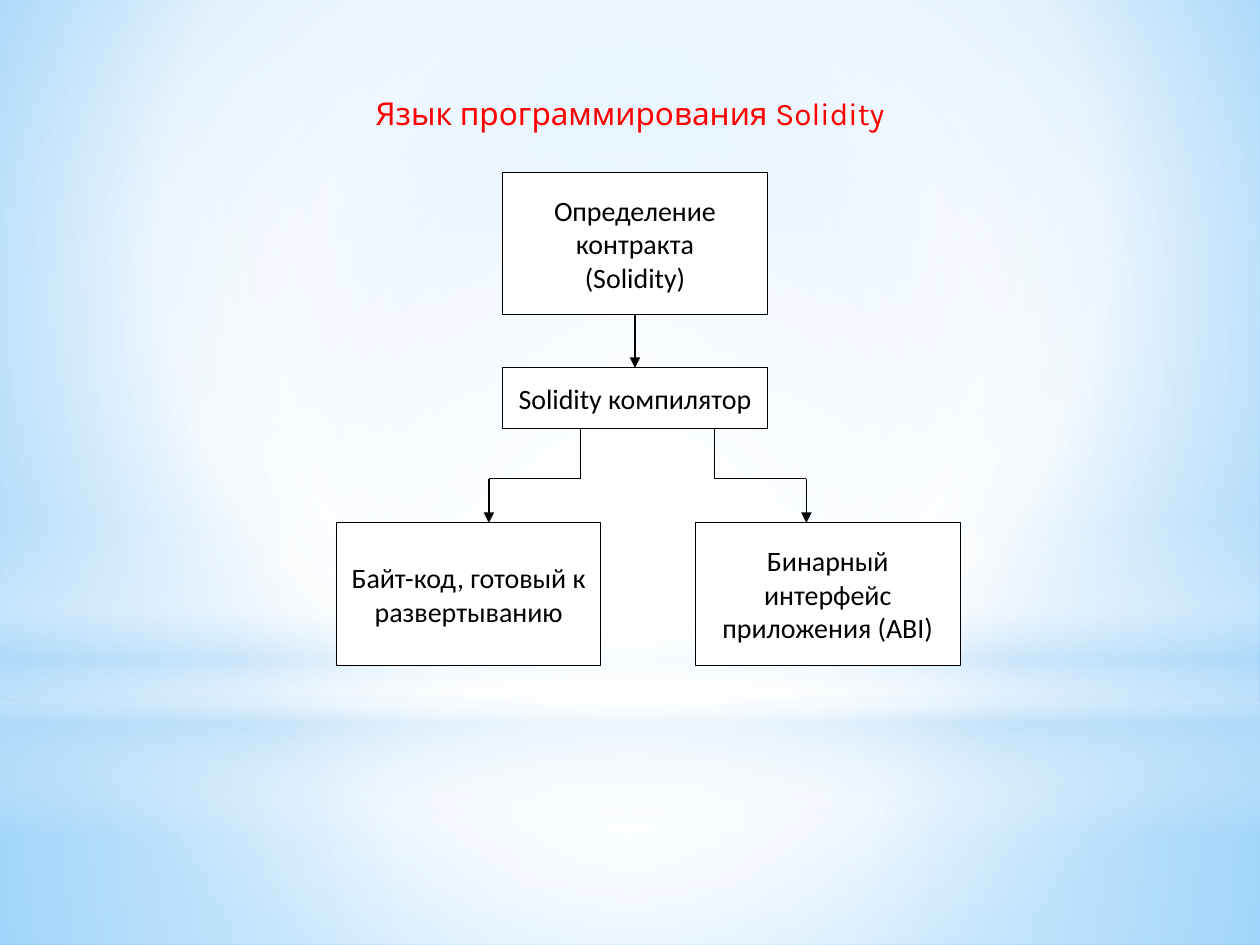
from lxml import etree
from pptx import Presentation
from pptx import util as u
from pptx.dml.color import RGBColor
from pptx.enum import shapes, text
from pptx.oxml.ns import qn

WIDTH, HEIGHT = 10, 7.5
BOX_W, TALL, LOW = 2.1, 1.13, 0.48
CENTRE_X = 5.04
SOURCE_Y, COMPILER_Y, RESULT_Y = 1.37, 2.92, 4.15
FORK_X, FORK_Y = 5.14, 3.8
STEM, REACH = 0.53, 1.26
CENTRED = (50, 50, 50, 50)


def hex_color(value):
    return RGBColor.from_string(value)


def add_node(parent, tag, **attributes):
    node = etree.SubElement(parent, qn(tag))
    for key, value in attributes.items():
        node.set(key, str(value))
    return node


def set_gradient(fill, owner, stops, focus=None, angle=90):
    """Stops are (position %, colour, opacity %); a focus makes it circular."""
    fill.gradient()
    gradient = next(owner.iter(qn("a:gradFill")))
    gradient.clear()
    gradient.set("rotWithShape", "1")
    stop_list = add_node(gradient, "a:gsLst")
    for position, color, opacity in stops:
        stop = add_node(stop_list, "a:gs", pos=position * 1000)
        shade = add_node(stop, "a:srgbClr", val=color)
        if opacity < 100:
            add_node(shade, "a:alpha", val=opacity * 1000)
    if focus:
        circle = add_node(gradient, "a:path", path="circle")
        sides = {side: share * 1000 for side, share in zip("ltrb", focus)}
        add_node(circle, "a:fillToRect", **sides)
    else:
        add_node(gradient, "a:lin", ang=angle * 60000, scaled=0)


def add_preset(slide, kind, left, top, width, height):
    shape = slide.shapes.add_shape(
        kind, u.Inches(left), u.Inches(top), u.Inches(width), u.Inches(height))
    shape.shadow.inherit = False
    return shape


def add_glow(slide, top, height, stops, focus=None,
             kind=shapes.MSO_SHAPE.RECTANGLE):
    glow = add_preset(slide, kind, 0, top, WIDTH, height)
    glow.line.fill.background()
    set_gradient(glow.fill, glow.element.spPr, stops, focus)


def paint_backdrop(slide):
    set_gradient(slide.background.fill, slide.element,
                 [(0, "9ED5FF", 100), (60, "FFFFFF", 100), (100, "5BB9FF", 100)],
                 (20, 10, 20, 60))
    horizon = 5.58
    add_glow(slide, horizon, HEIGHT - horizon,
             [(0, "FFFFFF", 91), (37, "FFFFFF", 76), (100, "B4DCFA", 79)], CENTRED)
    add_glow(slide, 0, horizon,
             [(0, "FFFFFF", 89), (48, "FFFFFF", 62), (100, "B4DCFA", 79)], CENTRED)
    add_glow(slide, 4.12, 2.5,
             [(0, "FFFFFF", 0), (29, "FFFFFF", 30), (45, "B4DCFA", 40),
              (55, "FFFFFF", 26), (65, "B4DCFA", 60), (100, "FFFFFF", 0)])
    add_glow(slide, 1.75, horizon, [(0, "FFFFFF", 100), (56, "FFFFFF", 0)],
             CENTRED, shapes.MSO_SHAPE.OVAL)


def write_centred(frame, wording, font, size, color):
    frame.word_wrap = True
    frame.text = wording
    for paragraph in frame.paragraphs:
        paragraph.alignment = text.PP_ALIGN.CENTER
        for run in paragraph.runs:
            run.font.name = font
            run.font.size = u.Pt(size)
            run.font.color.rgb = hex_color(color)


def add_title(slide, wording):
    width = 6.14
    title = slide.shapes.add_textbox(
        u.Inches((WIDTH - width) / 2), u.Inches(0.7), u.Inches(width), u.Inches(0.4))
    write_centred(title.text_frame, wording, "Karla", 18, "FF0000")
    title.text_frame.auto_size = text.MSO_AUTO_SIZE.SHAPE_TO_FIT_TEXT


def add_stage(slide, wording, middle, top, height):
    stage = add_preset(slide, shapes.MSO_SHAPE.RECTANGLE,
                       middle - BOX_W / 2, top, BOX_W, height)
    stage.fill.solid()
    stage.fill.fore_color.rgb = hex_color("FFFFFF")
    stage.line.color.rgb = hex_color("000000")
    stage.line.width = u.Pt(0.5)
    stage.text_frame.vertical_anchor = text.MSO_ANCHOR.MIDDLE
    write_centred(stage.text_frame, wording, "Calibri", 16, "000000")
    return stage


def add_line(slide, start, end, arrow=False):
    line = slide.shapes.add_connector(
        shapes.MSO_CONNECTOR.STRAIGHT, *(u.Inches(v) for v in (*start, *end)))
    line.line.color.rgb = hex_color("000000")
    line.line.width = u.Pt(0.75)
    if arrow:
        add_node(line.line._get_or_add_ln(), "a:tailEnd", type="triangle")
    add_node(line.element.spPr, "a:effectLst")
    return line


def add_branch(slide, side):
    """Stepped path from the compiler to a result; side is -1 left or 1 right."""
    stem_x, result_x = FORK_X + side * STEM, FORK_X + side * REACH
    corners = [(stem_x, COMPILER_Y + LOW), (stem_x, FORK_Y),
               (result_x, FORK_Y), (result_x, RESULT_Y)]
    for start, end in zip(corners, corners[1:]):
        add_line(slide, start, end, arrow=end == corners[-1])


def main():
    deck = Presentation()
    deck.slide_width, deck.slide_height = u.Inches(WIDTH), u.Inches(HEIGHT)
    slide = deck.slides.add_slide(deck.slide_layouts[6])
    paint_backdrop(slide)
    add_title(slide, "Язык программирования Solidity")

    contract = add_stage(slide, "Определение контракта\n(Solidity)",
                         CENTRE_X, SOURCE_Y, TALL)
    compiler = add_stage(slide, "Solidity компилятор", CENTRE_X, COMPILER_Y, LOW)
    add_stage(slide, "Байт-код, готовый к развертыванию", 3.72, RESULT_Y, TALL)
    add_stage(slide, "Бинарный интерфейс приложения (ABI)", 6.57, RESULT_Y, TALL)

    compile_step = add_line(slide, (CENTRE_X, SOURCE_Y + TALL),
                            (CENTRE_X, COMPILER_Y), arrow=True)
    compile_step.begin_connect(contract, 2)
    compile_step.end_connect(compiler, 0)
    for side in (-1, 1):
        add_branch(slide, side)
    deck.save("out.pptx")


if __name__ == "__main__":
    main()
